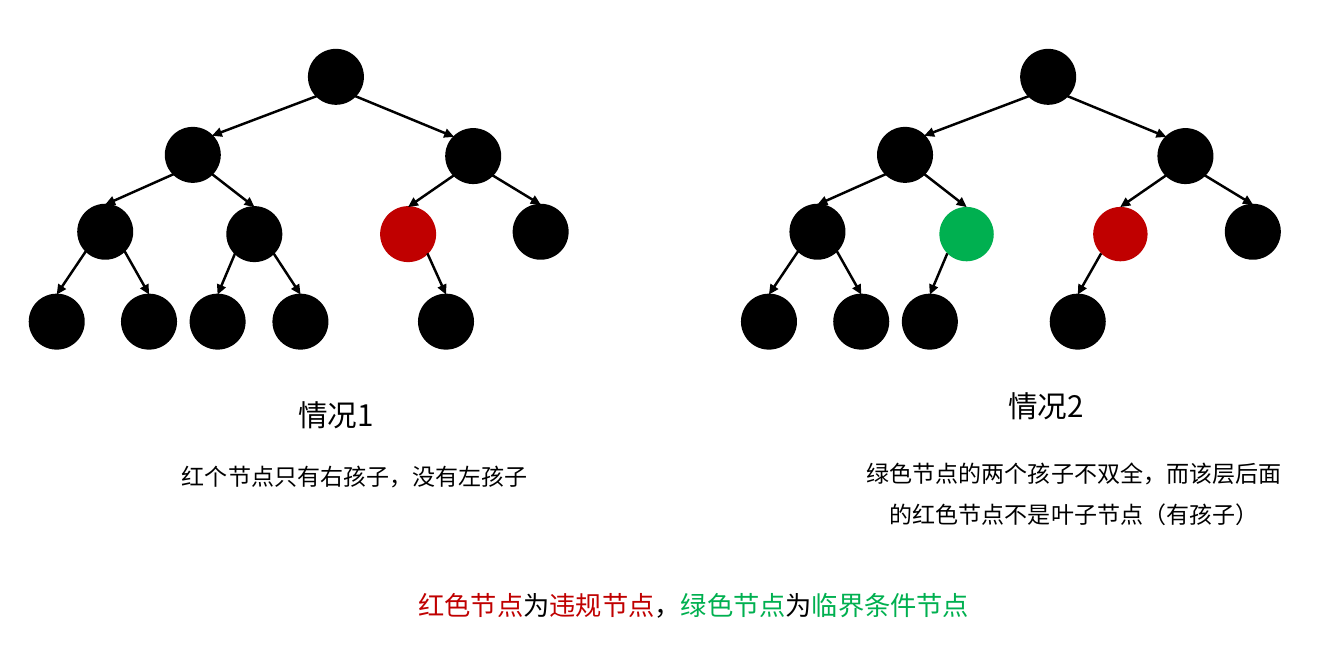
from dataclasses import dataclass
from math import sqrt

from pptx import Presentation
from pptx.dml.color import RGBColor
from pptx.enum.shapes import MSO_CONNECTOR as Connector, MSO_SHAPE as Shape
from pptx.enum.text import MSO_AUTO_SIZE as AutoSize, PP_ALIGN as Align
from pptx.oxml.ns import qn
from pptx.util import Pt
from lxml.etree import SubElement

EMU_PER_PX = 9144
NODE_SIZE = 46
NODE_PLACES = {
    1: (236, 0),
    2: (115, 66), 3: (352, 67),
    4: (41, 131), 5: (167, 133), 6: (297, 133), 7: (409, 131),
    8: (0, 207), 9: (78, 207), 10: (136, 207), 11: (206, 207),
    12: (261, 207), 13: (329, 207),
}


@dataclass(frozen=True)
class Theme:
    """Colours, font and type sizes of the slide."""
    black: RGBColor = RGBColor(0, 0, 0)
    red: RGBColor = RGBColor(0xC0, 0, 0)
    green: RGBColor = RGBColor(0, 0xB0, 0x50)
    font: str = "Noto Sans CJK SC"
    heading: int = 18
    legend: int = 16
    body: int = 14
    outline: float = 1
    edge: float = 1.5


THEME = Theme()


def px(length):
    """Turn px into EMU."""
    return round(length * EMU_PER_PX)


def add_node(slide, left, top, color, outlined):
    """Draw one round tree node."""
    node = slide.shapes.add_shape(Shape.OVAL, px(left), px(top), px(NODE_SIZE), px(NODE_SIZE))
    node.shadow.inherit = False
    node.fill.solid()
    node.fill.fore_color.rgb = color
    if outlined:
        node.line.color.rgb = color
        node.line.width = Pt(THEME.outline)
    else:
        node.line.fill.background()


def add_edge(slide, start, end):
    """Draw an arrow from a parent to its child."""
    edge = slide.shapes.add_connector(Connector.STRAIGHT, *map(px, start + end))
    edge.line.color.rgb = THEME.black
    edge.line.width = Pt(THEME.edge)
    SubElement(edge.line._get_or_add_ln(), qn("a:tailEnd"), type="triangle")
    SubElement(edge._element.spPr, qn("a:effectLst"))


def rim_point(place, across, down):
    """Return a point on a node's rim in the given direction."""
    radius = NODE_SIZE / 2
    reach = radius / sqrt(across ** 2 + down ** 2)
    return place[0] + radius + across * reach, place[1] + radius + down * reach


def add_tree(slide, left, top, missing, colors, tinted_outline):
    """Draw a binary tree whose node n has the children 2n and 2n + 1."""
    places = {number: (left + x, top + y)
              for number, (x, y) in NODE_PLACES.items() if number not in missing}
    for number, place in places.items():
        color = colors.get(number, THEME.black)
        add_node(slide, *place, color, tinted_outline or number not in colors)
        if number > 1:
            side = 1 if number % 2 else -1
            arrival = -side if number < 4 else 0
            add_edge(slide, rim_point(places[number // 2], side, 1),
                     rim_point(place, arrival, -1))


def add_text(slide, box, pieces, size, align=Align.CENTER, spacing=None):
    """Place one paragraph made of coloured pieces in a box."""
    text_box = slide.shapes.add_textbox(*map(px, box))
    frame = text_box.text_frame
    frame.word_wrap = True
    frame.auto_size = AutoSize.SHAPE_TO_FIT_TEXT
    paragraph = frame.paragraphs[0]
    paragraph.alignment = align
    paragraph.line_spacing = spacing
    for text, color in pieces:
        run = paragraph.add_run()
        run.text = text
        run.font.size = Pt(size)
        run.font.name = THEME.font
        run.font.color.rgb = color
        SubElement(run.font._element, qn("a:ea"), typeface=THEME.font)


def add_first_case(slide, left, top):
    """Build the case of a node with only a right child."""
    add_tree(slide, left, top, {12}, {6: THEME.red}, True)
    add_text(slide, (left + 162, top + 289, 194, 38), [("情况1", THEME.black)], THEME.heading)
    add_text(slide, (left + 109, top + 344, 332, 34),
             [("红个节点只有右孩子，没有左孩子", THEME.black)], THEME.body)


def add_second_case(slide, left, top):
    """Build the case of a node with a child after an incomplete one."""
    add_tree(slide, left, top, {11, 13}, {5: THEME.green, 6: THEME.red}, False)
    add_text(slide, (left + 160, top + 281, 194, 38), [("情况2", THEME.black)], THEME.heading)
    add_text(slide, (left + 95, top + 330, 372, 77),
             [("绿色节点的两个孩子不双全，而该层后面的红色节点不是叶子节点（有孩子）", THEME.black)],
             THEME.body, spacing=1.5)


def add_legend(slide, left, top):
    """Explain the node colours."""
    pieces = [
        ("红色节点", THEME.red), ("为", THEME.black), ("违规节点", THEME.red),
        ("，", THEME.black),
        ("绿色节点", THEME.green), ("为", THEME.black), ("临界条件节点", THEME.green),
    ]
    add_text(slide, (left, top, 526, 37), pieces, THEME.legend, Align.LEFT)


def main():
    """Build and save the slide."""
    presentation = Presentation()
    presentation.slide_width, presentation.slide_height = px(1136), px(553)
    slide = presentation.slides.add_slide(presentation.slide_layouts[6])
    add_first_case(slide, 25, 42)
    add_second_case(slide, 627, 42)
    add_legend(slide, 344, 493)
    presentation.save("out.pptx")


if __name__ == "__main__":
    main()
